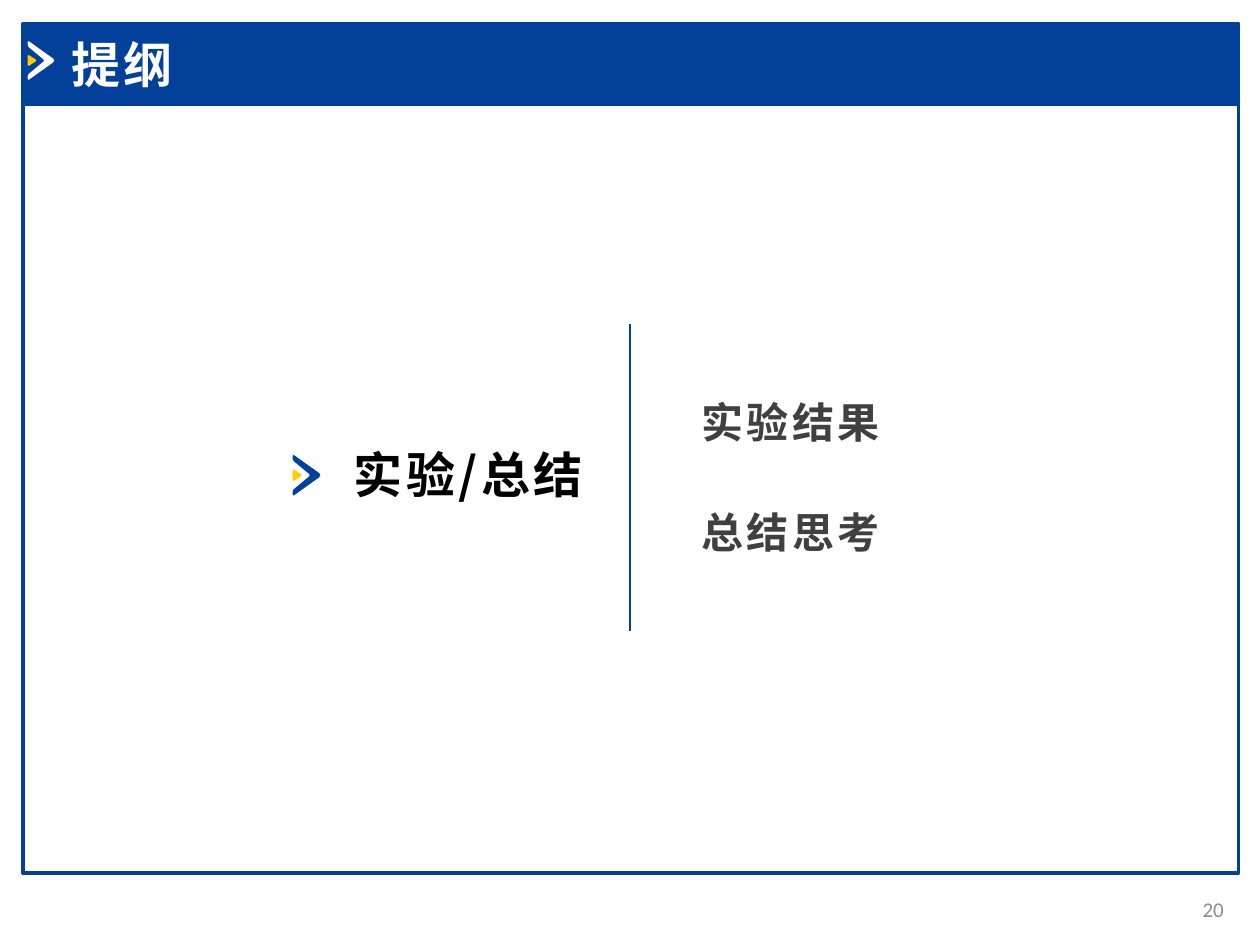
"""Build an outline slide for the experiment and summary section."""
from pptx import Presentation
from pptx.dml.color import RGBColor
from pptx.enum.shapes import MSO_CONNECTOR, MSO_SHAPE
from pptx.enum.text import MSO_ANCHOR, PP_ALIGN
from pptx.oxml.ns import qn
from pptx.util import Cm, Pt

BLUE = RGBColor(0x02, 0x40, 0x9A)
YELLOW = RGBColor(0xFF, 0xCC, 0x00)
WHITE = RGBColor(0xFF, 0xFF, 0xFF)
BLACK = RGBColor(0x00, 0x00, 0x00)
DARK_GRAY = RGBColor(0x40, 0x40, 0x40)
LIGHT_GRAY = RGBColor(0x8C, 0x8C, 0x8C)

RECTANGLE = MSO_SHAPE.RECTANGLE
STRAIGHT = MSO_CONNECTOR.STRAIGHT
TOP, MIDDLE = MSO_ANCHOR.TOP, MSO_ANCHOR.MIDDLE
LEFT, RIGHT = PP_ALIGN.LEFT, PP_ALIGN.RIGHT

LATIN_FONT = "Calibri"
CHINESE_FONT = "Noto Sans CJK SC"
TITLE_ONLY = 5

CHEVRON = [(0, 8), (0, 2), (2, 0), (51, 35), (53, 39), (51, 43), (2, 78),
           (0, 76), (0, 70), (2, 66), (32, 41), (32, 37), (2, 12)]
ARROW_CORE = [(0, 30), (2, 28), (16, 37), (17, 39), (16, 41), (2, 50), (0, 48)]


def write_text(shape, text, size, color, font=CHINESE_FONT, bold=True,
               spacing=2, align=LEFT, anchor=TOP):
    frame = shape.text_frame
    frame.word_wrap = True
    frame.vertical_anchor = anchor
    frame.margin_left = frame.margin_right = Cm(0.25)
    frame.margin_top = frame.margin_bottom = Cm(0.13)
    paragraph = frame.paragraphs[0]
    paragraph.alignment = align
    paragraph.line_spacing = 1.0
    run = paragraph.add_run()
    run.text = text
    run.font.name = font
    run.font.size = Pt(size)
    run.font.bold = bold
    run.font.color.rgb = color
    properties = run.font._element
    properties.set("spc", str(spacing * 100))
    east_asian = properties.makeelement(qn("a:ea"), {"typeface": CHINESE_FONT})
    properties.find(qn("a:latin")).addnext(east_asian)


class OutlineSlide:
    def __init__(self, presentation):
        layout = presentation.slide_layouts[TITLE_ONLY]
        self.slide = presentation.slides.add_slide(layout)
        self.shapes = self.slide.shapes
        self.accent = BLUE

    def title(self, text, left, top, width, height):
        shape = self.shapes.title
        shape.left, shape.top = Cm(left), Cm(top)
        shape.width, shape.height = Cm(width), Cm(height)
        write_text(shape, text, 28, WHITE, font=LATIN_FONT)
        self.shapes._spTree.append(shape._element)

    def text(self, text, left, top, width, height, **style):
        box = self.shapes.add_textbox(Cm(left), Cm(top), Cm(width), Cm(height))
        write_text(box, text, **style)

    def panel(self, left, top, width, height, filled):
        shape = self.shapes.add_shape(
            RECTANGLE, Cm(left), Cm(top), Cm(width), Cm(height))
        shape.shadow.inherit = False
        if filled:
            shape.fill.solid()
            shape.fill.fore_color.rgb = self.accent
        else:
            shape.fill.background()
        shape.line.color.rgb = self.accent
        shape.line.width = Pt(2)

    def marker(self, left, top, color, scale=1):
        for points, fill in ((CHEVRON, color), (ARROW_CORE, YELLOW)):
            builder = self.shapes.build_freeform(*points[0], scale=Cm(0.01) * scale)
            builder.add_line_segments(points[1:], close=True)
            shape = builder.convert_to_shape(Cm(left), Cm(top))
            shape.shadow.inherit = False
            shape.fill.solid()
            shape.fill.fore_color.rgb = fill
            shape.line.fill.background()

    def divider(self, x, top, bottom):
        connector = self.shapes.add_connector(
            STRAIGHT, Cm(x), Cm(top), Cm(x), Cm(bottom))
        connector.line.color.rgb = self.accent
        connector.line.width = Pt(1.5)
        properties = connector._element.spPr
        properties.append(properties.makeelement(qn("a:effectLst"), {}))


def main():
    presentation = Presentation()
    presentation.slide_width, presentation.slide_height = Cm(25.4), Cm(19.05)
    outline = OutlineSlide(presentation)

    outline.panel(0.46, 2.11, 24.51, 15.49, filled=False)
    outline.panel(0.46, 0.48, 24.51, 1.63, filled=True)
    outline.marker(0.56, 0.83, WHITE)
    outline.title("提纲", 1.19, 0.56, 9.04, 1.45)

    outline.text("实验/总结", 6.88, 8.84, 5.99, 1.45, size=28, color=BLACK)
    outline.marker(5.9, 9.17, BLUE, scale=1.05)
    for row, topic in enumerate(("实验结果", "总结思考")):
        outline.text(topic, 13.89, 7.87 + 2.21 * row, 7.7, 1.27,
                     size=24, color=DARK_GRAY)
    outline.divider(12.7, 6.53, 12.73)
    outline.text("20", 23.42, 17.81, 1.5, 1.02, size=12, color=LIGHT_GRAY,
                 font=LATIN_FONT, bold=False, spacing=0, align=RIGHT, anchor=MIDDLE)

    presentation.save("out.pptx")


if __name__ == "__main__":
    main()
